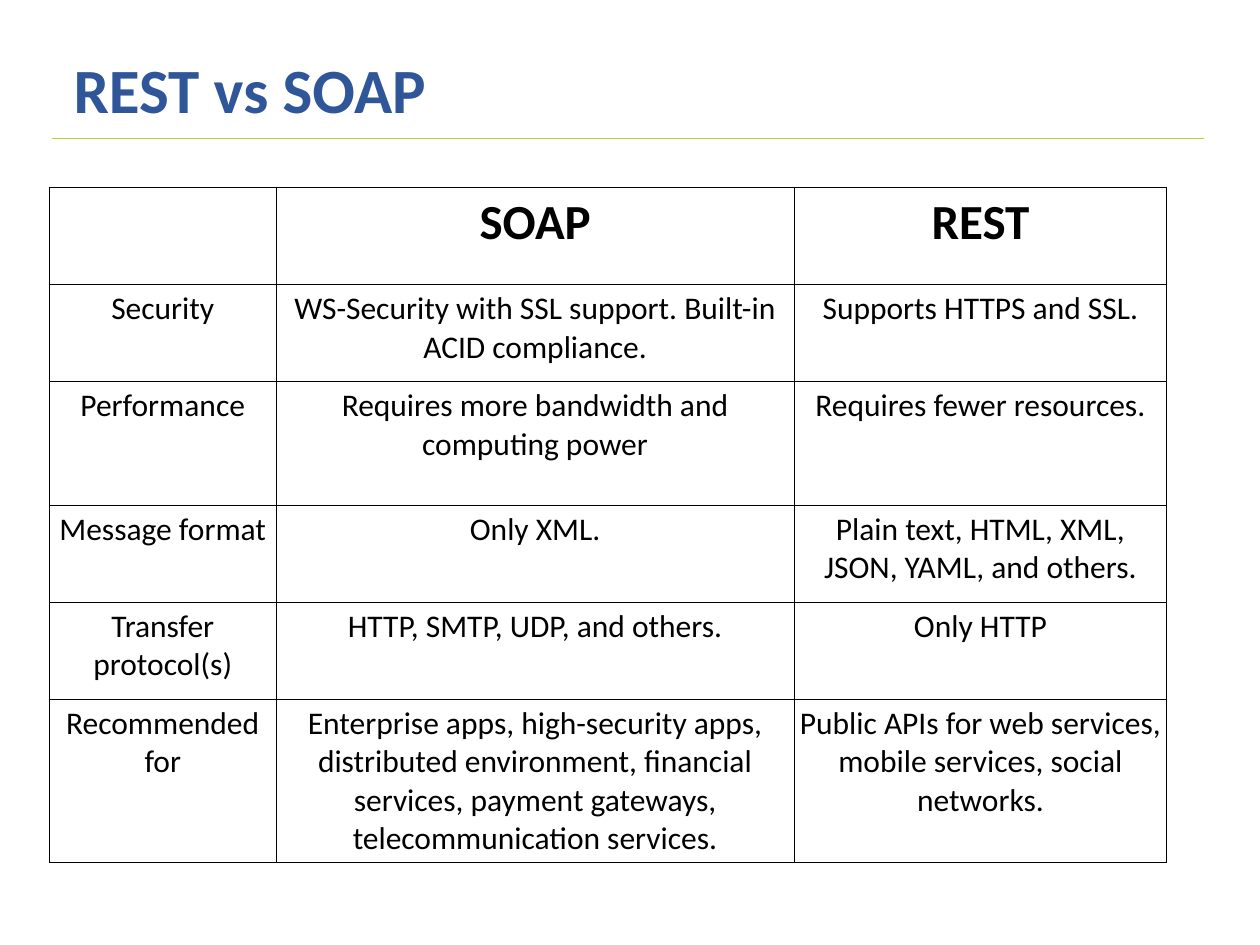
import pptx
import pptx.dml.color
import pptx.enum.shapes
import pptx.enum.text
import pptx.oxml
import pptx.oxml.ns
import pptx.util

Pt = pptx.util.Pt
ALIGN = pptx.enum.text.PP_ALIGN
COLORS = {"title": "2F5699", "rule": "B6D330", "text": "000000", "border": "000000"}
COLUMN_WIDTHS = [129.6, 296, 213]
ROW_HEIGHTS = [55.5, 55.5, 70.5, 55.5, 55.5, 93]
COMPARISON = [
    ("", "SOAP", "REST"),
    ("Security", "WS-Security with SSL support. Built-in ACID compliance.",
     "Supports HTTPS and SSL."),
    ("Performance", "Requires more bandwidth and computing power",
     "Requires fewer resources."),
    ("Message format", "Only XML.", "Plain text, HTML, XML, JSON, YAML, and others."),
    ("Transfer protocol(s)", "HTTP, SMTP, UDP, and others.", "Only HTTP"),
    ("Recommended for",
     "Enterprise apps, high-security apps, distributed environment, "
     "financial services, payment gateways, telecommunication services.",
     "Public APIs for web services, mobile services, social networks."),
]


def rgb(name):
    """Return the named palette colour."""
    return pptx.dml.color.RGBColor.from_string(COLORS[name])


def write_text(text_frame, text, size=18, color="text", bold=False,
               align=ALIGN.LEFT, space_before=0):
    """Put one formatted paragraph into a text frame."""
    text_frame.word_wrap = True
    paragraph = text_frame.paragraphs[0]
    paragraph.alignment = align
    paragraph.space_before = Pt(space_before)
    if text:
        run = paragraph.add_run()
        run.text = text
        font = run.font
        font.name, font.size, font.bold = "Calibri", Pt(size), bold
        font.color.rgb = rgb(color)


def add_borders(cell, width=0.5):
    """Draw a thin line on each side of a table cell."""
    properties = cell._tc.get_or_add_tcPr()
    for index, side in enumerate("LRTB"):
        border = pptx.oxml.parse_xml(
            f'<a:ln{side} {pptx.oxml.ns.nsdecls("a")} w="{Pt(width)}"><a:solidFill>'
            f'<a:srgbClr val="{COLORS["border"]}"/></a:solidFill></a:ln{side}>')
        properties.insert(index, border)


def add_heading(slide, left, top, width, height):
    """Place the title and the rule along the bottom of the box."""
    title = slide.shapes.add_textbox(Pt(left + 12.5), Pt(top), Pt(width - 70), Pt(44))
    frame = title.text_frame
    frame.margin_left = frame.margin_right = frame.margin_bottom = 0
    frame.margin_top = Pt(0.7)
    write_text(frame, "REST vs SOAP", size=36, color="title", bold=True, space_before=1)
    rule = slide.shapes.add_connector(
        pptx.enum.shapes.MSO_CONNECTOR.STRAIGHT,
        Pt(left), Pt(top + height), Pt(left + width), Pt(top + height))
    rule.line.color.rgb = rgb("rule")
    rule.line.width = Pt(1)
    rule._element.spPr.append(
        pptx.oxml.parse_xml(f'<a:effectLst {pptx.oxml.ns.nsdecls("a")}/>'))


def add_comparison(slide, left, top):
    """Place the comparison table with its header row."""
    frame = slide.shapes.add_table(
        len(ROW_HEIGHTS), len(COLUMN_WIDTHS), Pt(left), Pt(top),
        Pt(sum(COLUMN_WIDTHS)), Pt(sum(ROW_HEIGHTS)))
    table = frame.table
    table.first_row = table.horz_banding = False
    for column, width in zip(table.columns, COLUMN_WIDTHS):
        column.width = Pt(width)
    for index, (row, height, texts) in enumerate(zip(table.rows, ROW_HEIGHTS, COMPARISON)):
        row.height = Pt(height)
        header = index == 0
        for cell, text in zip(row.cells, texts):
            cell.margin_left = cell.margin_right = Pt(2.9)
            cell.margin_top = cell.margin_bottom = Pt(2.9)
            cell.fill.background()
            add_borders(cell)
            write_text(cell.text_frame, text, size=28 if header else 18,
                       bold=header, align=ALIGN.CENTER)


def main():
    """Build and save the slide."""
    presentation = pptx.Presentation()
    presentation.slide_width, presentation.slide_height = Pt(720), Pt(540)
    slide = presentation.slides.add_slide(presentation.slide_layouts[6])
    add_heading(slide, 29.5, 28, 658.5, 51.2)
    add_comparison(slide, 28.2, 107.2)
    presentation.save("out.pptx")


if __name__ == "__main__":
    main()
